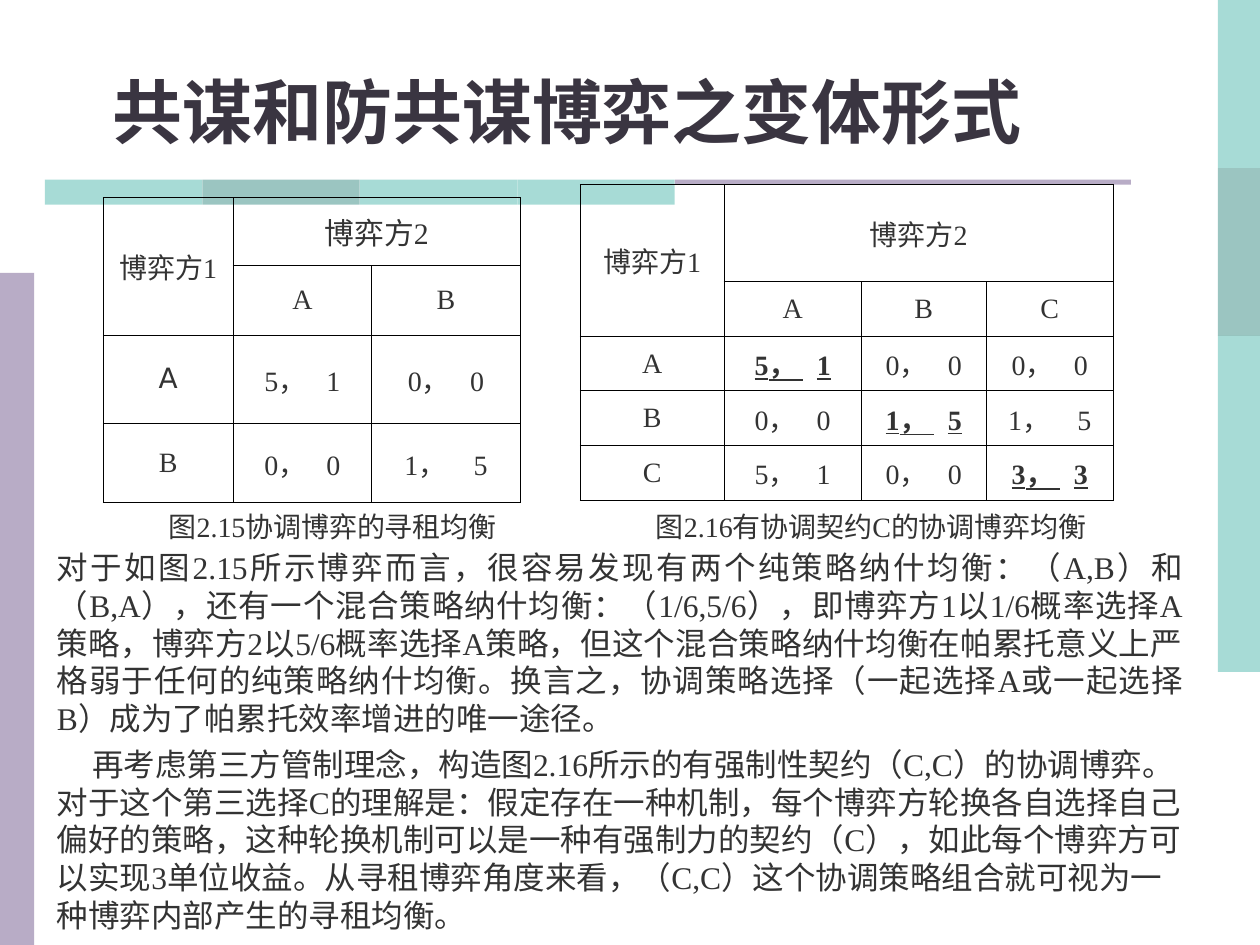
from dataclasses import dataclass

from lxml.etree import SubElement
from pptx import Presentation
from pptx.dml.color import RGBColor
from pptx.enum.shapes import MSO_SHAPE as Preset
from pptx.enum.text import MSO_ANCHOR as Anchor, PP_ALIGN as Align
from pptx.oxml import parse_xml
from pptx.oxml.ns import nsdecls, qn
from pptx.util import Pt

TEAL = RGBColor(0x51, 0xB9, 0xAF)
DARK_TEAL = RGBColor(0x39, 0x8D, 0x85)
LILAC = RGBColor(0xB8, 0xAC, 0xC6)
INK = RGBColor(0x33, 0x33, 0x33)
TITLE_INK = RGBColor(0x3A, 0x35, 0x41)
SERIF = "Times New Roman"
SANS = "DejaVu Sans"


@dataclass
class Entry:
    text: str
    gap: int = 8
    best: bool = False
    size: int = 16
    face: str = SERIF


class GameSlide:
    def __init__(self, deck):
        self.slide = deck.slides.add_slide(deck.slide_layouts[6])

    def bar(self, left, top, width, height, color, alpha=None):
        bar = self.slide.shapes.add_shape(
            Preset.RECTANGLE, Pt(left), Pt(top), Pt(width), Pt(height))
        bar.shadow.inherit = False
        bar.line.fill.background()
        bar.fill.solid()
        bar.fill.fore_color.rgb = color
        if alpha:
            tint = bar.fill._xPr.find(".//" + qn("a:srgbClr"))
            SubElement(tint, qn("a:alpha")).set("val", str(alpha * 1000))

    def style(self, paragraph, size, color=INK, bold=False, face=SERIF, align=Align.CENTER):
        paragraph.alignment = align
        font = paragraph.font
        font.name, font.size, font.bold = face, Pt(size), bold
        font.color.rgb = color

    def text(self, left, top, width, height, content, size, wrap=True,
             anchor=Anchor.MIDDLE, **look):
        frame = self.slide.shapes.add_textbox(
            Pt(left), Pt(top), Pt(width), Pt(height)).text_frame
        frame.word_wrap = wrap
        frame.vertical_anchor = anchor
        frame.text = content
        for paragraph in frame.paragraphs:
            self.style(paragraph, size, **look)
        return frame

    def border(self, cell):
        for index, side in enumerate(("lnL", "lnR", "lnT", "lnB")):
            edge = parse_xml(
                f'<a:{side} {nsdecls("a")} w="5715"><a:solidFill>'
                f'<a:srgbClr val="000000"/></a:solidFill></a:{side}>')
            cell._tc.get_or_add_tcPr().insert(index, edge)

    def fill_cell(self, cell, entry):
        cell.vertical_anchor = Anchor.MIDDLE
        paragraph = cell.text_frame.paragraphs[0]
        self.style(paragraph, entry.size, bold=entry.best, face=entry.face)
        paragraph.font.underline = entry.best
        first, space, second = entry.text.partition(" ")
        for part in filter(None, (first, space, second)):
            run = paragraph.add_run()
            run.text = part
            if part == space:
                run._r.get_or_add_rPr().set("spc", str(entry.gap * 100))

    def game(self, left, top, widths, heights, entries):
        table = self.slide.shapes.add_table(
            len(heights), len(widths), Pt(left), Pt(top),
            Pt(sum(widths)), Pt(sum(heights))).table
        table.first_row = table.horz_banding = False
        for column, width in zip(table.columns, widths):
            column.width = Pt(width)
        for row, height in zip(table.rows, heights):
            row.height = Pt(height)
        table.cell(0, 0).merge(table.cell(1, 0))
        table.cell(0, 1).merge(table.cell(0, len(widths) - 1))
        for cell in table.iter_cells():
            cell.fill.background()
            self.border(cell)
        for row, line in enumerate(entries):
            for column, entry in enumerate(line):
                if entry:
                    entry = entry if isinstance(entry, Entry) else Entry(entry)
                    self.fill_cell(table.cell(row, column), entry)


def main():
    deck = Presentation()
    deck.slide_width, deck.slide_height = Pt(720), Pt(540)
    page = GameSlide(deck)

    for step, color in enumerate((TEAL, DARK_TEAL, TEAL, TEAL)):
        page.bar(696, 96 * step, 24, 96, color, 50)
        page.bar(25.6 + 90 * step, 102.6, 90, 14.4, color, 50)
    page.bar(0, 156, 19.6, 384, LILAC)
    page.bar(385.6, 102.6, 260.6, 2.9, LILAC)

    page.text(89.3, 287.3, 209.5, 26.6, "图2.15协调博弈的寻租均衡", 16,
              wrap=False, align=Align.LEFT)
    page.game(331.6, 105.6, (82.1, 78.5, 71.3, 72.7), (55.4, 31.2, 31.2, 31.2, 31.2), (
        ("博弈方1", "博弈方2"),
        (None, "A", "B", "C"),
        ("A", Entry("5， 1", best=True), "0， 0", "0， 0"),
        ("B", "0， 0", Entry("1， 5", best=True), Entry("1， 5", gap=12)),
        ("C", "5， 1", "0， 0", Entry("3， 3", best=True)),
    ))
    page.text(360, 287.3, 275.8, 26.6, "图2.16有协调契约C的协调博弈均衡", 16, wrap=False)

    analysis = page.text(
        25.5, 309.6, 657.4, 228.2,
        "对于如图2.15所示博弈而言，很容易发现有两个纯策略纳什均衡：（A,B）和（B,A），"
        "还有一个混合策略纳什均衡：（1/6,5/6），即博弈方1以1/6概率选择A策略，"
        "博弈方2以5/6概率选择A策略，但这个混合策略纳什均衡在帕累托意义上严格弱于任何的"
        "纯策略纳什均衡。换言之，协调策略选择（一起选择A或一起选择B）"
        "成为了帕累托效率增进的唯一途径。\n"
        "再考虑第三方管制理念，构造图2.16所示的有强制性契约（C,C）的协调博弈。"
        "对于这个第三选择C的理解是：假定存在一种机制，每个博弈方轮换各自选择自己偏好的策略，"
        "这种轮换机制可以是一种有强制力的契约（C），如此每个博弈方可以实现3单位收益。"
        "从寻租博弈角度来看，（C,C）这个协调策略组合就可视为一种博弈内部产生的寻租均衡。",
        18, anchor=Anchor.TOP, align=Align.JUSTIFY)
    contract = analysis.paragraphs[1]
    contract.alignment = Align.LEFT
    contract.space_before = Pt(4.5)
    contract._p.get_or_add_pPr().set("indent", str(Pt(20)))

    page.text(-0.7, 28.8, 649.4, 61.9, "共谋和防共谋博弈之变体形式", 40,
              anchor=Anchor.BOTTOM, color=TITLE_INK, bold=True)
    page.game(59, 113, (74.2, 79.2, 85), (38.9, 39.6, 50.4, 45.4), (
        ("博弈方1", Entry("博弈方2", size=17)),
        (None, "A", "B"),
        (Entry("A", face=SANS), "5， 1", "0， 0"),
        ("B", "0， 0", Entry("1， 5", gap=12)),
    ))
    deck.save("out.pptx")


if __name__ == "__main__":
    main()
